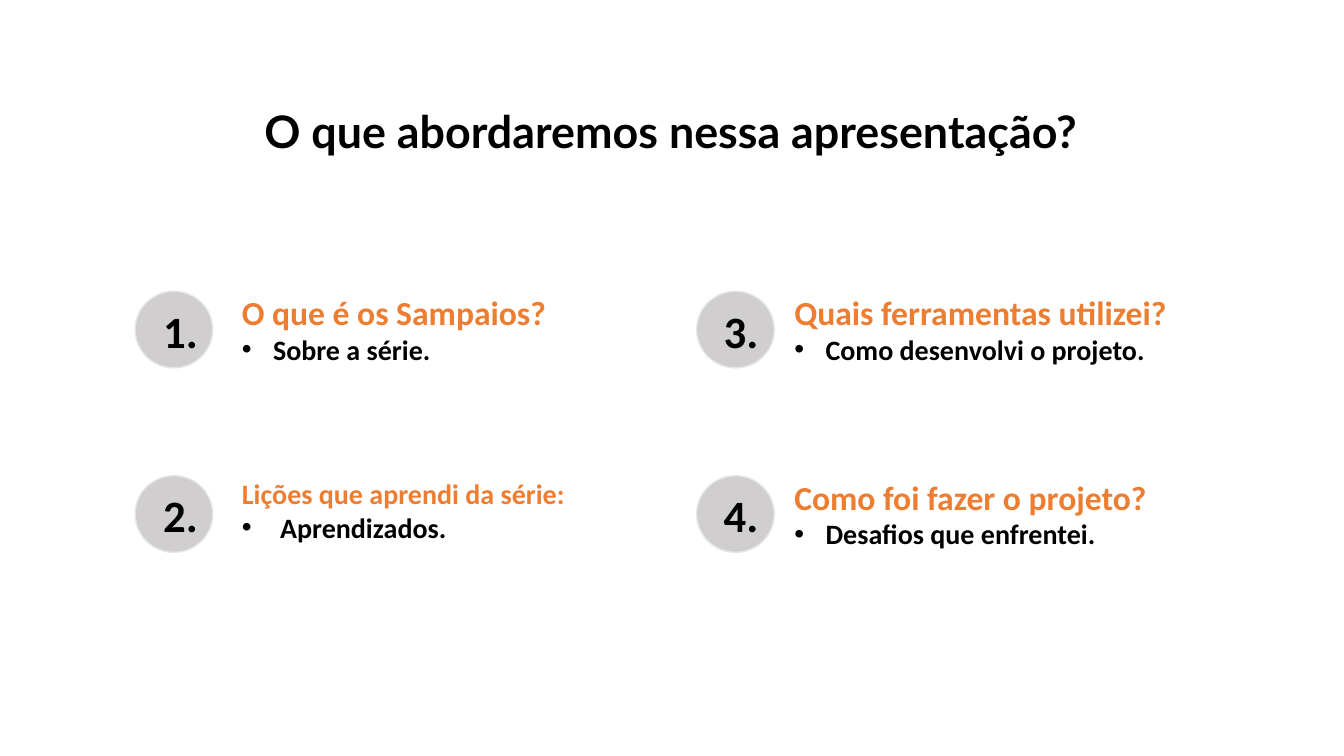
from dataclasses import dataclass

from lxml.etree import SubElement
from pptx import Presentation
from pptx.dml.color import RGBColor
from pptx.enum.shapes import MSO_SHAPE as Shape
from pptx.enum.text import MSO_ANCHOR as Anchor, MSO_AUTO_SIZE as AutoSize, PP_ALIGN as Align
from pptx.oxml.ns import qn
from pptx.util import Inches, Pt


@dataclass(frozen=True)
class Theme:
    black: RGBColor = RGBColor(0x00, 0x00, 0x00)
    accent: RGBColor = RGBColor(0xED, 0x7D, 0x31)
    disc: RGBColor = RGBColor(0xD0, 0xCE, 0xCE)
    rim: RGBColor = RGBColor(0xE7, 0xE6, 0xE6)
    title_font: str = "Lato"
    body_font: str = "Calibri"
    large: int = 32
    heading: int = 24
    detail: int = 20


THEME = Theme()

# Left edges of disc, number and text in each column; tops of the two rows
COLUMNS = [(1.34, 1.52, 2.3), (6.91, 7.08, 7.78)]
ROWS = [2.89, 4.72]

# Heading, heading size, text width, detail, detail indent
TOPICS = [
    ("O que é os Sampaios?", THEME.heading, 3.9, "Sobre a série.", 0.31),
    ("Lições que aprendi da série:", THEME.detail, 4.12, "Aprendizados.", 0.38),
    ("Quais ferramentas utilizei?", THEME.heading, 3.9, "Como desenvolvi o projeto.", 0.31),
    ("Como foi fazer o projeto?", THEME.heading, 3.9, "Desafios que enfrentei.", 0.31),
]


def write(para, text, size, color, font=THEME.body_font):
    span = para.add_run()
    span.text = text
    for name, value in {"name": font, "size": Pt(size), "bold": True}.items():
        setattr(span.font, name, value)
    span.font.color.rgb = color


def add_bullet(para, indent):
    """Give the paragraph a bullet with a hanging indent in inches."""
    properties = para._p.get_or_add_pPr()
    properties.set("marL", str(Inches(indent)))
    properties.set("indent", str(-Inches(indent)))
    SubElement(properties, qn("a:buFont")).set("typeface", "Arial")
    SubElement(properties, qn("a:buChar")).set("char", "•")


def add_text_box(group, left, top, width, height):
    box = group.shapes.add_textbox(Inches(left), Inches(top), Inches(width), Inches(height))
    box.text_frame.word_wrap = True
    return box.text_frame


def add_title(page, text):
    title = page.shapes.title
    place = {"left": 2.35, "top": 0.98, "width": 8.61, "height": 1.18}
    for name, value in place.items():
        setattr(title, name, Inches(value))
    frame = title.text_frame
    settings = {"word_wrap": True, "auto_size": AutoSize.NONE, "vertical_anchor": Anchor.TOP}
    for name, value in settings.items():
        setattr(frame, name, value)
    para = frame.paragraphs[0]
    para.alignment = Align.CENTER
    write(para, text, THEME.large, THEME.black, THEME.title_font)


def add_disc(group, left, top):
    disc = group.shapes.add_shape(
        Shape.OVAL, Inches(left), Inches(top), Inches(0.77), Inches(0.76))
    disc.shadow.inherit = False
    disc.fill.solid()
    disc.fill.fore_color.rgb = THEME.disc
    disc.line.color.rgb = THEME.rim
    disc.line.width = Pt(1)


def add_topic(page, number, column, top, topic):
    disc_left, number_left, text_left = column
    heading, heading_size, width, detail, indent = topic
    group = page.shapes.add_group_shape()
    add_disc(group, disc_left, top)

    frame = add_text_box(group, text_left, top - 0.04, width, 0.84)
    write(frame.paragraphs[0], heading, heading_size, THEME.accent)
    para = frame.add_paragraph()
    add_bullet(para, indent)
    write(para, detail, THEME.detail, THEME.black)

    frame = add_text_box(group, number_left, top + 0.07, 0.7, 0.64)
    write(frame.paragraphs[0], f"{number}.", THEME.large, THEME.black)


def main():
    deck = Presentation()
    deck.slide_width, deck.slide_height = Inches(13.33), Inches(7.5)
    page = deck.slides.add_slide(deck.slide_layouts[5])
    add_title(page, "O que abordaremos nessa apresentação?")
    for index, topic in enumerate(TOPICS):
        column, row = divmod(index, len(ROWS))
        add_topic(page, index + 1, COLUMNS[column], ROWS[row], topic)
    deck.save("out.pptx")


if __name__ == "__main__":
    main()
